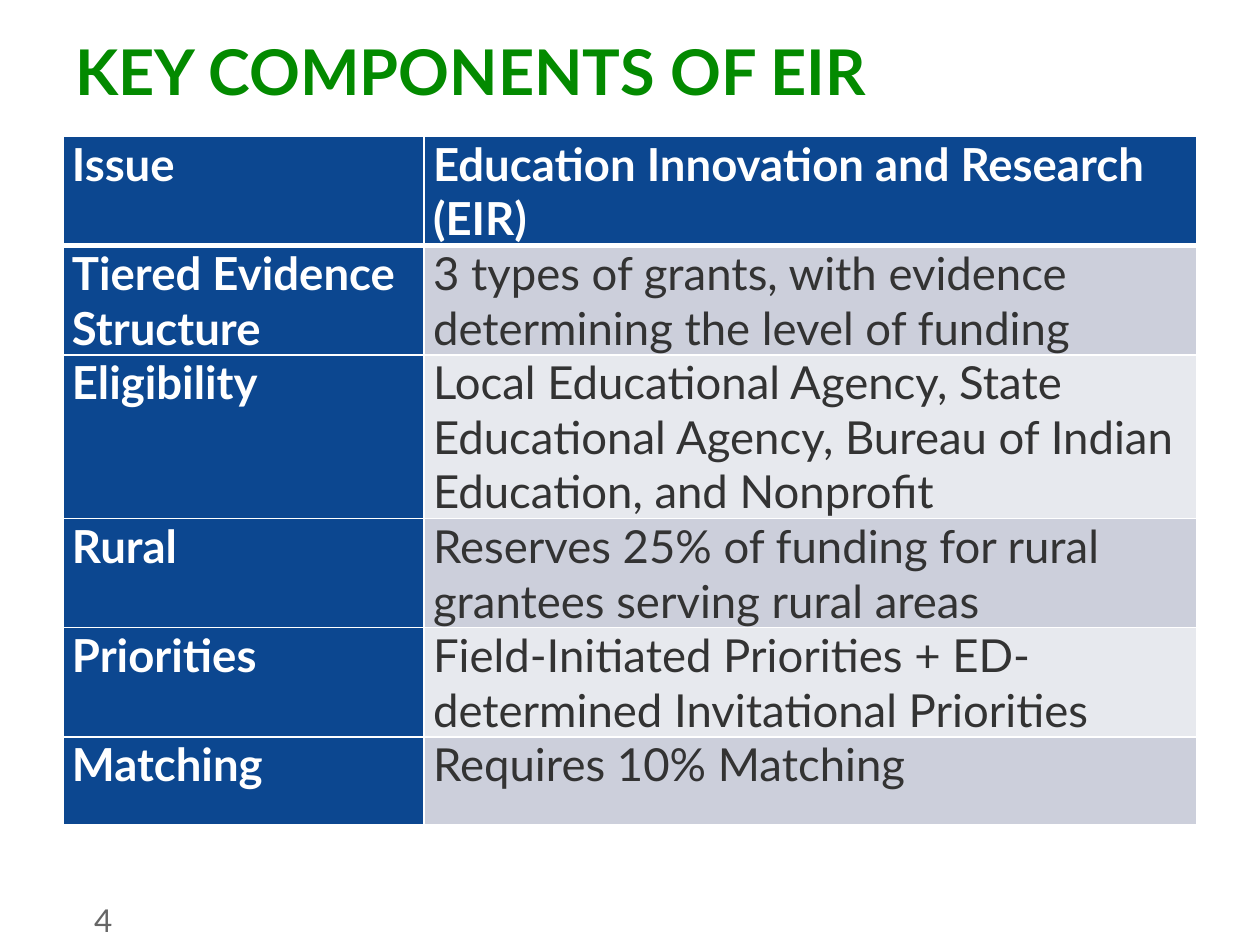
from lxml.etree import SubElement
from pptx import Presentation
from pptx.dml.color import RGBColor
from pptx.enum.text import MSO_ANCHOR, PP_ALIGN
from pptx.oxml.ns import qn
from pptx.util import Cm, Pt

FONT = "Lato"
COLORS = {
    "title": "038A00", "header": "0C4790", "white": "FFFFFF",
    "body": "333333", "number": "666666", "odd": "CCCFDB", "even": "E7E9EE",
}
ROWS = [
    ("Issue", "Education Innovation and Research (EIR)"),
    ("Tiered Evidence Structure",
     "3 types of grants, with evidence determining the level of funding"),
    ("Eligibility",
     "Local Educational Agency, State Educational Agency, "
     "Bureau of Indian Education, and Nonprofit"),
    ("Rural", "Reserves 25% of funding for rural grantees serving rural areas"),
    ("Priorities",
     "Field-Initiated Priorities + ED-determined Invitational Priorities"),
    ("Matching", "Requires 10% Matching"),
]
COL_WIDTHS = [7.28, 15.58]
ROW_HEIGHTS = [2.2, 2.2, 3.3, 2.2, 2.2, 1.78]


def rgb(name):
    return RGBColor.from_string(COLORS[name])


def write(tf, text, size=26, color="body", bold=False):
    tf.word_wrap = True
    p = tf.paragraphs[0]
    p.alignment = PP_ALIGN.LEFT
    r = p.add_run()
    r.text = text
    r.font.name = FONT
    r.font.size = Pt(size)
    r.font.bold = bold
    r.font.color.rgb = rgb(color)


def place(sp, left, top, width, height):
    sp.left, sp.top, sp.width, sp.height = map(Cm, (left, top, width, height))


def add_title(s, text):
    sp = s.shapes.title
    place(sp, 1.27, 0.64, 22.86, 1.57)
    sp.text_frame.vertical_anchor = MSO_ANCHOR.MIDDLE
    write(sp.text_frame, text, size=36, color="title", bold=True)


def add_number(s, text):
    sp = s.shapes.add_textbox(Cm(1.9), Cm(18.03), Cm(1.47), Cm(1.02))
    tf = sp.text_frame
    tf.margin_left = tf.margin_right = 0
    write(tf, text, size=18, color="number")


def set_borders(cell, **widths):
    tcPr = cell._tc.get_or_add_tcPr()
    for side in "LRTB":
        ln = SubElement(tcPr, qn(f"a:ln{side}"), w=str(Pt(widths.get(side, 1))))
        fill = SubElement(ln, qn("a:solidFill"))
        SubElement(fill, qn("a:srgbClr"), val=COLORS["white"])


def fill_cell(cell, text, row, col):
    is_header = row == 0 or col == 0
    cell.margin_left = cell.margin_right = Cm(0.18)
    cell.margin_top = cell.margin_bottom = 0
    set_borders(cell, T=3 if row == 1 else 1, B=3 if row == 0 else 1)
    cell.fill.solid()
    band = "odd" if row % 2 else "even"
    cell.fill.fore_color.rgb = rgb("header" if is_header else band)
    write(cell.text_frame, text, color="white" if is_header else "body",
          bold=is_header)


def add_components_table(s):
    frame = s.shapes.add_table(
        len(ROWS), len(COL_WIDTHS), Cm(1.27), Cm(2.75),
        Cm(sum(COL_WIDTHS)), Cm(sum(ROW_HEIGHTS)))
    table = frame.table
    for column, width in zip(table.columns, COL_WIDTHS):
        column.width = Cm(width)
    for row, height in zip(table.rows, ROW_HEIGHTS):
        row.height = Cm(height)
    for i, texts in enumerate(ROWS):
        for j, text in enumerate(texts):
            fill_cell(table.cell(i, j), text, i, j)


def main():
    prs = Presentation()
    prs.slide_width, prs.slide_height = Cm(25.4), Cm(19.05)
    s = prs.slides.add_slide(prs.slide_layouts[5])
    add_title(s, "KEY COMPONENTS OF EIR")
    add_number(s, "4")
    add_components_table(s)
    prs.save("out.pptx")


main()
